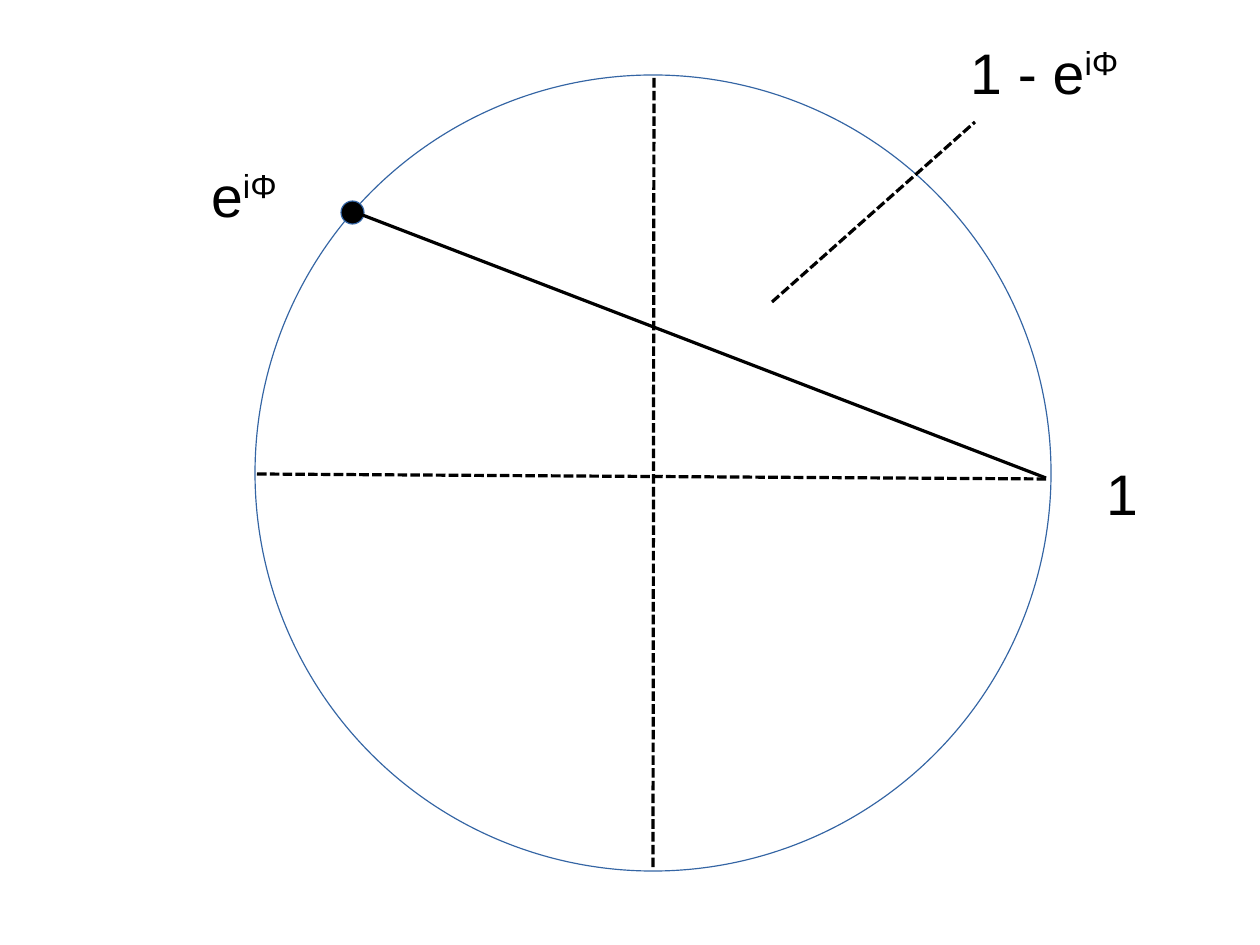
"""Unit circle with the chord from 1 to a point on the circle."""
import pptx
import pptx.dml.color
import pptx.enum.dml
import pptx.enum.shapes
import pptx.oxml.ns
import pptx.util
from lxml import etree

PX = 8000
BLACK = pptx.dml.color.RGBColor(0x00, 0x00, 0x00)
BLUE = pptx.dml.color.RGBColor(0x34, 0x65, 0xA4)
MSO_SHAPE = pptx.enum.shapes.MSO_SHAPE
DASH = pptx.enum.dml.MSO_LINE.SQUARE_DOT


def px(*lengths):
    return [pptx.util.Emu(n * PX) for n in lengths]


def add_text(text, box, sup="", size=36, font="Arial", color=BLACK):
    tf = s.shapes.add_textbox(*px(*box)).text_frame
    tf.word_wrap = True
    p = tf.paragraphs[0]
    for part, baseline in ((text, 0), (sup, 33000)):
        if part:
            r = p.add_run()
            r.text = part
            r.font.size = pptx.util.Pt(size)
            r.font.name = font
            r.font.color.rgb = color
            if baseline:
                r.font._element.set("baseline", str(baseline))


prs = pptx.Presentation()
prs.slide_width, prs.slide_height = px(1260, 945)
s = prs.slides.add_slide(prs.slide_layouts[6])

for x, y, diameter, filled in ((255, 75, 796, False), (341, 201, 23, True)):
    sp = s.shapes.add_shape(MSO_SHAPE.OVAL, *px(x, y, diameter, diameter))
    sp.shadow.inherit = False
    if filled:
        sp.fill.solid()
        sp.fill.fore_color.rgb = BLACK
    else:
        sp.fill.background()
    sp.line.color.rgb = BLUE
    sp.line.width = 0

horizontal_axis = (257, 474, 1048, 479)
vertical_axis = (654, 78, 653, 868)
chord = (352, 211, 1046, 478)
pointer = (772, 302, 975, 122)
for ends in (horizontal_axis, vertical_axis, chord, pointer):
    cxn = s.shapes.add_connector(pptx.enum.shapes.MSO_CONNECTOR.STRAIGHT, *px(*ends))
    cxn.line.color.rgb = BLACK
    cxn.line.width = 0
    if ends != chord:
        cxn.line.dash_style = DASH
    etree.SubElement(cxn._element.spPr, pptx.oxml.ns.qn("a:effectLst"))

add_text("e", (200, 155, 143, 75), sup="iΦ")
add_text("1", (1095, 453, 143, 75))
add_text("1 - e", (959, 32, 216, 139), sup="iΦ")

prs.save("out.pptx")
